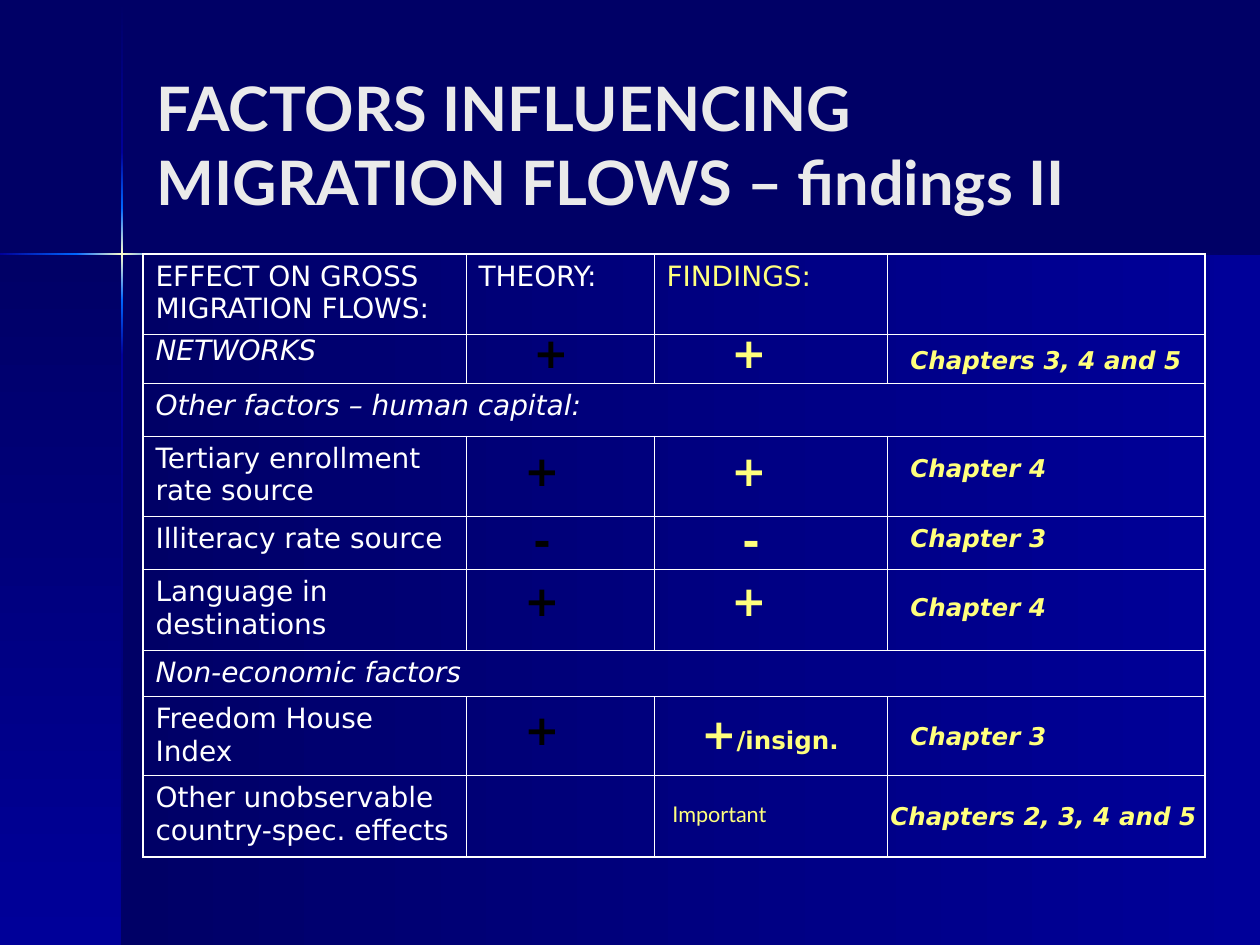
import copy
import itertools
import pptx
import pptx.dml.color
import pptx.enum.shapes
import pptx.enum.text
import pptx.oxml
import pptx.oxml.ns
import pptx.util

PX = 9144000 / 1260
HUES = {"navy": "000066", "blue": "000099", "sky": "0066FF", "cream": "FFFFCC",
        "white": "FFFFFF", "pale": "EAEAEA", "gold": "FFFF7D", "black": "000000"}
RIGHT, DOWN = 0, 270
SANS, LATO = "DejaVu Sans", "Lato"

# Text formats
HEAD = {"name": LATO, "size": 35, "bold": True, "hue": "pale"}
CELL = {"name": SANS, "size": 16, "bold": False, "hue": "white"}
SIGN = {"name": SANS, "size": 24, "bold": True, "hue": "gold"}
NOTE = {"name": SANS, "size": 14, "bold": True, "italic": True, "hue": "gold"}
TAIL = {**NOTE, "italic": False}
WORD = {"name": LATO, "size": 12.4, "hue": "gold"}


def px(*vals):
    return [pptx.util.Emu(round(v * PX)) for v in vals]


def rgb(hue):
    return pptx.dml.color.RGBColor.from_string(HUES[hue])


class Deck:
    def __init__(self):
        self.prs = pptx.Presentation()
        self.prs.slide_width, self.prs.slide_height = px(1260, 945)
        self.slide = self.prs.slides.add_slide(self.prs.slide_layouts[5])
        self.shapes = self.slide.shapes
        back = self.slide.background.fill
        back.solid()
        back.fore_color.rgb = rgb("navy")

    def style(self, font, form):
        for key, val in form.items():
            if key == "hue":
                font.color.rgb = rgb(val)
            else:
                setattr(font, key, pptx.util.Pt(val) if key == "size" else val)

    def put(self, frame, runs, gap=1.0):
        para = frame.paragraphs[0]
        form = {"alignment": pptx.enum.text.PP_ALIGN.LEFT,
                "line_spacing": gap, "space_before": pptx.util.Pt(0)}
        for key, val in form.items():
            setattr(para, key, val)
        for text, font in runs:
            run = para.add_run()
            run.text = text
            self.style(run.font, font)

    def title(self, text, box):
        head = self.shapes.title
        head.left, head.top, head.width, head.height = px(*box)
        frame = head.text_frame
        form = {"word_wrap": True,
                "auto_size": pptx.enum.text.MSO_AUTO_SIZE.NONE,
                "vertical_anchor": pptx.enum.text.MSO_ANCHOR.MIDDLE}
        for key, val in form.items():
            setattr(frame, key, val)
        self.put(frame, [(text, HEAD)])
        head.element.getparent().append(head.element)  # in front of the panels

    def panel(self, box, hues, angle):
        kind = pptx.enum.shapes.MSO_SHAPE.RECTANGLE
        shape = self.shapes.add_shape(kind, *px(*box))
        shape.shadow.inherit = False
        shape.line.fill.background()
        fill = shape.fill
        fill.gradient()
        fill.gradient_angle = angle
        stops = next(shape.element.iter(pptx.oxml.ns.qn("a:gsLst")))
        for _ in hues[2:]:
            stops.append(copy.deepcopy(stops[0]))
        for num, (stop, hue) in enumerate(zip(fill.gradient_stops, hues)):
            stop.position = num / (len(hues) - 1)
            stop.color.rgb = rgb(hue)

    def text(self, runs, box, gap=0.8):
        frame = self.shapes.add_textbox(*px(*box)).text_frame
        frame.word_wrap = True
        self.put(frame, runs, gap)

    def edge(self, cell, side, width):
        cell._tc.get_or_add_tcPr().append(pptx.oxml.parse_xml(
            f'<a:ln{side} {pptx.oxml.ns.nsdecls("a")} w="{pptx.util.Pt(width)}">'
            f'<a:solidFill><a:srgbClr val="{HUES["white"]}"/></a:solidFill>'
            f'</a:ln{side}>'))

    def table(self, rows, left, top, cols, highs):
        grid = self.shapes.add_table(len(highs), len(cols), *px(
            left, top, sum(cols), sum(highs))).table
        grid.first_row = grid.horz_banding = False
        for col, wide in zip(grid.columns, px(*cols)):
            col.width = wide
        for row, high in zip(grid.rows, px(*highs)):
            row.height = high
        last, end = len(highs) - 1, len(cols) - 1
        for r, (texts, form, gap, span) in enumerate(rows):
            if span:
                grid.cell(r, 0).merge(grid.cell(r, end))
            for c in range(len(cols)):
                cell = grid.cell(r, c)
                outer = {"L": c == 0, "R": c == end or span,
                         "T": r == 0, "B": r == last}
                for side, thick in outer.items():
                    self.edge(cell, side, 1.08 if thick else 0.45)
                cell.fill.background()
                if c < len(texts):
                    hue = "gold" if texts[c] == "FINDINGS:" else "white"
                    font = {**CELL, **form, "hue": hue}
                    self.put(cell.text_frame, [(texts[c], font)], gap)
                else:
                    para = cell.text_frame.paragraphs[0]
                    para._p.get_or_add_endParaRPr().set("sz", "1600")


def main():
    deck = Deck()

    # Background panels and the glowing cross
    deck.panel((122, 254, 1138, 691), ["navy", "blue"], RIGHT)
    deck.panel((0, 254, 122, 691), ["navy", "blue"], DOWN)
    glow = [["navy", "blue"], ["blue", "sky"], ["sky", "cream", "sky"],
            ["sky", "blue"], ["blue", "navy"]]
    for hues, (top, low) in zip(glow, itertools.pairwise([1, 152, 208, 300, 355, 945])):
        deck.panel((121, top, 2, low - top), hues, DOWN)
    for hues, (left, end) in zip(glow[1:], itertools.pairwise([0, 76, 168, 223, 1260])):
        deck.panel((left, 253, end - left, 2), hues, RIGHT)

    deck.title("FACTORS INFLUENCING MIGRATION FLOWS – findings II",
               (144, 45, 1040, 198))

    # Table: texts, format, line spacing, full-width row
    slant = {"italic": True}
    rows = [
        (["EFFECT ON GROSS MIGRATION FLOWS:", "THEORY:", "FINDINGS:"], {}, 1.0, False),
        (["NETWORKS"], slant, 0.8, False),
        (["Other factors – human capital:"], slant, 1.0, True),
        (["Tertiary enrollment rate source"], {}, 1.0, False),
        (["Illiteracy rate source"], {}, 1.0, False),
        (["Language in destinations"], {}, 1.0, False),
        (["Non-economic factors"], slant, 1.0, True),
        (["Freedom House Index"], {}, 1.0, False),
        (["Other unobservable country-spec. effects"], {}, 1.0, False)]
    deck.table(rows, 143, 254, [323, 188, 233, 318],
               [80, 49, 53, 80, 54, 81, 46, 79, 81])

    # Signs for theory (black) and findings (gold)
    signs = [("+", 334, 521, 719), ("+", 452, 512, 719), ("-", 522, 521, 730),
             ("+", 582, 512, 719), ("+", 711, 512, None)]
    for sign, top, theory, found in signs:
        for left, hue in ((theory, "black"), (found, "gold")):
            if left:
                deck.text([(sign, {**SIGN, "hue": hue})], (left, top, 59, 49), 0.7)
    deck.text([("+", SIGN), ("/insign.", TAIL)], (689, 711, 179, 59))
    deck.text([("Important", WORD)], (660, 800, 208, 39))

    # Chapter notes
    notes = [("Chapters 3, 4 and 5", 898, 344, 318), ("Chapter 4", 898, 452, 218),
             ("Chapter 3", 898, 522, 208), ("Chapter 4", 898, 591, 318),
             ("Chapter 3", 898, 721, 198), ("Chapters 2, 3, 4 and 5", 878, 800, 338)]
    for text, left, top, wide in notes:
        deck.text([(text, NOTE)], (left, top, wide, 40))

    deck.prs.save("out.pptx")


if __name__ == "__main__":
    main()
